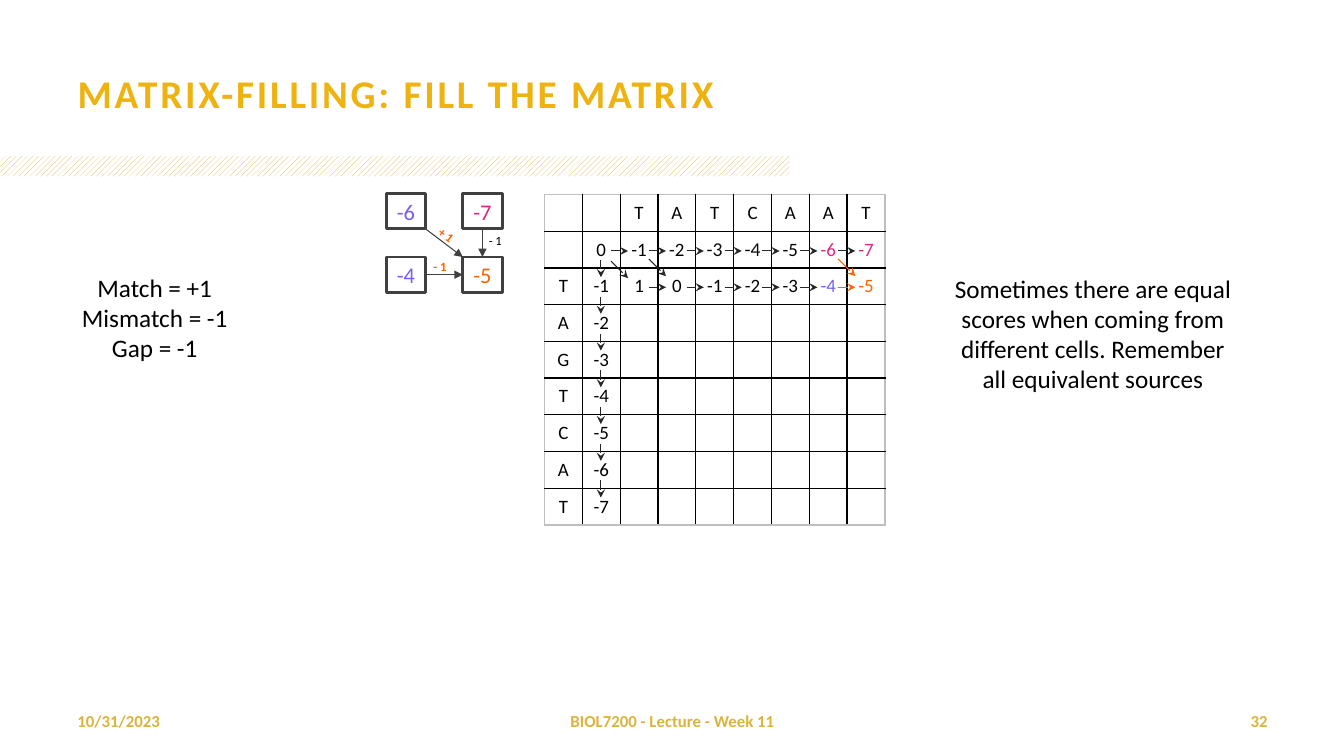
from dataclasses import dataclass

from lxml import etree
from pptx import Presentation
from pptx import util as u
from pptx.dml.color import RGBColor
from pptx.enum import dml, shapes, text
from pptx.oxml import ns

PX = 9144  # EMU; 100 px to the inch


@dataclass(frozen=True)
class Theme:
    font: str = "Calibri"
    white: str = "FFFFFF"
    black: str = "000000"
    near_black: str = "0D0D0D"
    gold: str = "EEB211"
    dull_gold: str = "DAB43D"
    purple: str = "785EF0"
    pink: str = "DC267F"
    orange: str = "FE6100"
    box_line: str = "404040"
    arrow: str = "262626"
    edge: str = "BFBFBF"
    title_size: float = 28
    body_size: float = 18
    score_size: float = 16
    cell_size: float = 13.5
    cell_large: float = 14
    footer_size: float = 12
    label_size: float = 9


T = Theme()
ALIGN = text.PP_ALIGN
LEFT, CENTER, RIGHT = ALIGN.LEFT, ALIGN.CENTER, ALIGN.RIGHT

TITLE = "MATRIX-FILLING: FILL THE MATRIX"
STRIPE = (0, 155, 783, 20)
FOOTERS = [
    ("10/31/2023", (67, 695, 311, 40), LEFT),
    ("BIOL7200 - Lecture - Week 11", (456, 695, 422, 40), CENTER),
    ("32", (956, 695, 311, 40), RIGHT),
]
NOTES = [
    (["Match = +1", "Mismatch = -1", "Gap = -1"], (67, 265, 173, 101)),
    (["Sometimes there are equal scores when coming from different cells. "
      "Remember all equivalent sources"], (932, 266, 304, 131)),
]

# Example cells: name -> (score, column, row, colour)
SCORES = {
    "diagonal": ("-6", 0, 0, T.purple),
    "above": ("-7", 1, 0, T.pink),
    "left": ("-4", 0, 1, T.purple),
    "result": ("-5", 1, 1, T.orange),
}
SCORE_ORIGIN, SCORE_PITCH, SCORE_BOX = (383, 192), (76, 63), (39, 35)
STEP_LABELS = [  # text, box, rotation, colour, bold
    ("- 1", (420, 252, 33, 25), 0, T.orange, True),
    ("- 1", (475, 226, 33, 25), 0, T.black, False),
    ("+ 1", (425, 221, 36, 25), 37.9, T.orange, True),
]

MATRIX = [
    ["", "", *"TATCAAT"],
    ["", "0", "-1", "-2", "-3", "-4", "-5", "-6", "-7"],
    ["T", "-1", "1", "0", "-1", "-2", "-3", "-4", "-5"],
    ["A", "-2"], ["G", "-3"], ["T", "-4"], ["C", "-5"], ["A", "-6"], ["T", "-7"],
]
CELL_FORMATS = {  # (row, column) -> (size, colour)
    (1, 4): (T.cell_large, T.near_black),
    (1, 5): (T.cell_large, T.near_black),
    (1, 7): (T.cell_size, T.pink),
    (1, 8): (T.cell_size, T.pink),
    (2, 7): (T.cell_size, T.purple),
    (2, 8): (T.cell_size, T.orange),
}
MATRIX_BOX = (540, 193, 338, 328)
CELLS = len(MATRIX)
CELL_W, CELL_H = MATRIX_BOX[2] / CELLS, MATRIX_BOX[3] / CELLS
STEP = 17  # arrow length
ARROW_RUNS = [  # start, direction, cells from the first, colour
    ((606, 249), (1, 0), range(7), T.arrow),
    ((606, 285), (1, 0), range(1, 6), T.arrow),
    ((606, 285), (1, 0), [6], T.orange),
    ((596, 258), (0, 1), range(7), T.arrow),
    ((606, 259), (1, 1), [0], T.arrow),
    ((606, 257), (1, 1), [1], T.arrow),
    ((606, 257), (1, 1), [6], T.orange),
]


def emu(*lengths):
    return [u.Emu(round(n * PX)) for n in lengths]


def rgb(colour):
    return RGBColor.from_string(colour)


def apply(target, **formats):
    for name, value in formats.items():
        setattr(target, name, value)


def write(frame, lines, size, colour, bold=False, align=CENTER):
    for i, line in enumerate(lines):
        para = frame.paragraphs[0] if i == 0 else frame.add_paragraph()
        para.alignment = align
        run = para.add_run()
        run.text = line
        apply(run.font, name=T.font, size=u.Pt(size), bold=bold)
        run.font.color.rgb = rgb(colour)


def add_text(slide, lines, box, size, colour, bold=False, align=CENTER, rotation=0, **frame_formats):
    holder = slide.shapes.add_textbox(*emu(*box))
    holder.rotation = rotation
    apply(holder.text_frame, **{"word_wrap": True, **frame_formats})
    write(holder.text_frame, lines, size, colour, bold, align)


def add_arrow(slide, start, end, colour, head):
    line = slide.shapes.add_connector(shapes.MSO_CONNECTOR.STRAIGHT, *emu(*start, *end))
    line.line.width = u.Pt(0.75)
    line.line.color.rgb = rgb(colour)
    etree.SubElement(line.line._get_or_add_ln(), ns.qn("a:tailEnd"), type=head)
    etree.SubElement(line._element.spPr, ns.qn("a:effectLst"))
    return line


def add_title(slide):
    title = slide.shapes.title
    apply(title, **dict(zip(("left", "top", "width", "height"), emu(67, 30, 1200, 125))))
    apply(title.text_frame, vertical_anchor=text.MSO_ANCHOR.MIDDLE, word_wrap=True,
          auto_size=text.MSO_AUTO_SIZE.NONE)
    write(title.text_frame, [TITLE], T.title_size, T.gold, True, LEFT)
    title.text_frame.paragraphs[0].runs[0].font._element.set("spc", "200")


def add_stripe(slide):
    stripe = slide.shapes.add_shape(shapes.MSO_SHAPE.RECTANGLE, *emu(*STRIPE))
    stripe.shadow.inherit = False
    stripe.line.fill.background()
    stripe.fill.patterned()
    stripe.fill.pattern = dml.MSO_PATTERN.WIDE_UPWARD_DIAGONAL
    stripe.fill.fore_color.rgb = rgb(T.dull_gold)
    stripe.fill.back_color.rgb = rgb(T.white)


def add_example(slide):
    """Four scored cells with the three steps into the last one."""
    boxes = {}
    for name, (score, col, row, colour) in SCORES.items():
        x, y = (o + p * n for o, p, n in zip(SCORE_ORIGIN, SCORE_PITCH, (col, row)))
        box = slide.shapes.add_shape(shapes.MSO_SHAPE.RECTANGLE, *emu(x, y, *SCORE_BOX))
        box.shadow.inherit = False
        box.fill.background()
        box.line.width = u.Pt(2)
        box.line.color.rgb = rgb(T.box_line)
        apply(box.text_frame, margin_left=0, margin_right=0, margin_top=0, margin_bottom=0,
              vertical_anchor=text.MSO_ANCHOR.MIDDLE)
        write(box.text_frame, [score], T.score_size, colour)
        boxes[name] = box
    corner = [o + s for o, s in zip(SCORE_ORIGIN, SCORE_BOX)]
    result = [o + p for o, p in zip(SCORE_ORIGIN, SCORE_PITCH)]
    add_arrow(slide, corner, result, T.box_line, "triangle")
    for source, out_side, in_side in (("above", 2, 0), ("left", 3, 1)):
        step = add_arrow(slide, corner, result, T.box_line, "triangle")
        step.begin_connect(boxes[source], out_side)
        step.end_connect(boxes["result"], in_side)
    for label, box, rotation, colour, bold in STEP_LABELS:
        add_text(slide, [label], box, T.label_size, colour, bold, LEFT, rotation, word_wrap=False,
                 auto_size=text.MSO_AUTO_SIZE.SHAPE_TO_FIT_TEXT)


def add_borders(cell, row, col):
    outer = {"a:lnL": col == 0, "a:lnR": col == CELLS - 1,
             "a:lnT": row == 0, "a:lnB": row == CELLS - 1}
    props = cell._tc.get_or_add_tcPr()
    for i, (tag, is_outer) in enumerate(outer.items()):
        line = etree.Element(ns.qn(tag), w=str(u.Pt(1)))
        fill = etree.SubElement(line, ns.qn("a:solidFill"))
        etree.SubElement(fill, ns.qn("a:srgbClr"), val=T.edge if is_outer else T.black)
        props.insert(i, line)


def add_matrix(slide):
    grid = slide.shapes.add_table(CELLS, CELLS, *emu(*MATRIX_BOX)).table
    apply(grid, first_row=False, horz_banding=False)
    for i in range(CELLS):
        grid.columns[i].width, grid.rows[i].height = emu(CELL_W, CELL_H)
        for j in range(CELLS):
            cell = grid.cell(i, j)
            apply(cell, margin_left=0, margin_right=0, margin_top=0, margin_bottom=0,
                  vertical_anchor=text.MSO_ANCHOR.MIDDLE)
            cell.fill.solid()
            cell.fill.fore_color.rgb = rgb(T.white)
            add_borders(cell, i, j)
            if j < len(MATRIX[i]) and MATRIX[i][j]:
                size, colour = CELL_FORMATS.get((i, j), (T.cell_size, T.black))
                write(cell.text_frame, [MATRIX[i][j]], size, colour)
    for (x, y), (dx, dy), steps, colour in ARROW_RUNS:
        for n in steps:
            start = (x + n * CELL_W * dx, y + n * CELL_H * (dy - dx * dy))
            end = (start[0] + STEP * dx, start[1] + STEP * dy)
            add_arrow(slide, start, end, colour, "stealth")


def main():
    deck = Presentation()
    deck.slide_width, deck.slide_height = emu(1333, 750)
    slide = deck.slides.add_slide(deck.slide_layouts[5])
    add_stripe(slide)
    add_title(slide)
    for label, box, align in FOOTERS:
        add_text(slide, [label], box, T.footer_size, T.dull_gold, True, align,
                 vertical_anchor=text.MSO_ANCHOR.MIDDLE)
    add_example(slide)
    add_matrix(slide)
    for lines, box in NOTES:
        add_text(slide, lines, box, T.body_size, T.black,
                 auto_size=text.MSO_AUTO_SIZE.SHAPE_TO_FIT_TEXT)
    deck.save("out.pptx")


if __name__ == "__main__":
    main()
